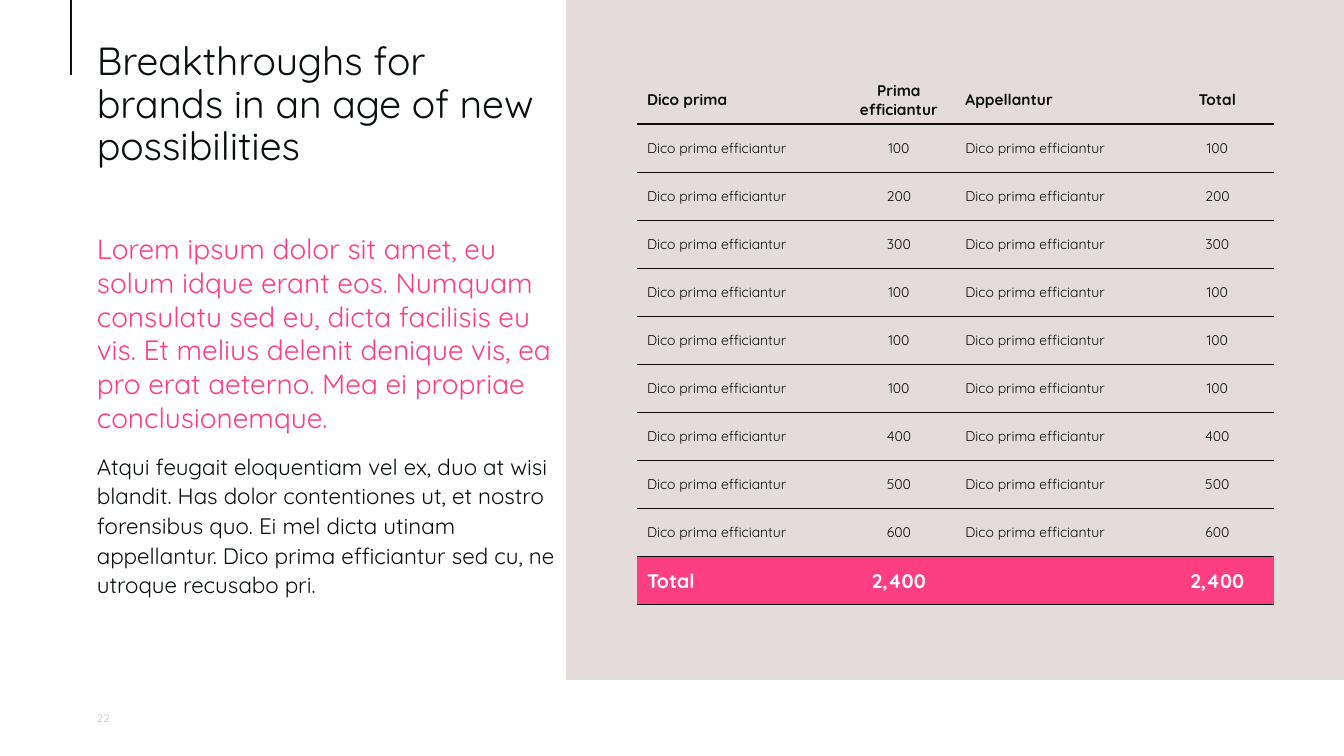
from lxml import etree
from pptx import Presentation
from pptx import util as u
from pptx.dml.color import RGBColor
from pptx.enum import shapes, text
from pptx.oxml import ns

PX = 12192000 / 1344
FONT = "Quicksand"
INK = RGBColor(0x0A, 0x0F, 0x0D)
PINK = RGBColor(0xFD, 0x3E, 0x81)
SAND = RGBColor(0xE3, 0xDC, 0xDB)
GREY = RGBColor(0xCE, 0xC3, 0xC1)
WHITE = RGBColor(0xFF, 0xFF, 0xFF)
NO_STYLE = "{2D5ABB26-0587-4C30-8999-92F81FD0307C}"

TITLE = "Breakthroughs for brands in an age of new possibilities"
LEAD = ("Lorem ipsum dolor sit amet, eu solum idque erant eos. Numquam "
        "consulatu sed eu, dicta facilisis eu vis. Et melius delenit denique "
        "vis, ea pro erat aeterno. Mea ei propriae conclusionemque.")
BODY = ("Atqui feugait eloquentiam vel ex, duo at wisi blandit. Has dolor "
        "contentiones ut, et nostro forensibus quo. Ei mel dicta utinam "
        "appellantur. Dico prima efficiantur sed cu, ne utroque recusabo pri.")
HEAD = ["Dico prima", "Prima efficiantur", "Appellantur", "Total"]
ITEM = "Dico prima efficiantur"
SUMS = [100, 200, 300, 100, 100, 100, 400, 500, 600]


def px(n):
    return u.Emu(round(n * PX))


def style(para, size, color, bold=False):
    font = para.font
    font.name, font.size, font.bold = FONT, u.Pt(size), bold
    font.color.rgb = color


def add_rect(slide, x, y, w, h):
    rect = slide.shapes.add_shape(shapes.MSO_SHAPE.RECTANGLE,
                                  px(x), px(y), px(w), px(h))
    rect.shadow.inherit = False
    rect.fill.solid()
    rect.fill.fore_color.rgb = WHITE
    rect.line.fill.background()


def add_text(slide, x, y, w, h, paras, anchor=text.MSO_ANCHOR.TOP):
    """Each paragraph is (words, size, color, line spacing, space after)."""
    frame = slide.shapes.add_textbox(px(x), px(y), px(w), px(h)).text_frame
    frame.word_wrap = True
    frame.vertical_anchor = anchor
    for i, (words, size, color, lines, after) in enumerate(paras):
        para = frame.add_paragraph() if i else frame.paragraphs[0]
        para.text = words
        para.line_spacing = lines
        para.space_after = u.Pt(after)
        style(para, size, color)


def add_panels(slide, w, h, split, foot):
    """White column on the left and white strip along the foot."""
    slide.background.fill.solid()
    slide.background.fill.fore_color.rgb = SAND
    add_rect(slide, 0, h - foot, w, foot)
    add_rect(slide, 0, 0, split, h - foot)


def add_copy(slide, x, y, w, h):
    rule = slide.shapes.add_connector(shapes.MSO_CONNECTOR.STRAIGHT,
                                      px(x - 16), 0, px(x - 16), px(75))
    rule.line.color.rgb = INK
    rule.line.width = u.Pt(1.5)
    etree.SubElement(rule._element.spPr, ns.qn("a:effectLst"))
    add_text(slide, x, y, w, 190, [(TITLE, 28, INK, 0.9, 0)])
    add_text(slide, x, y + 190, w, h - 190,
             [(LEAD, 20, PINK, 1.0, 12), (BODY, 16, INK, 1.1, 12)])
    add_text(slide, x, 702, 54, 32, [("22", 8, GREY, 1.0, 0)],
             text.MSO_ANCHOR.MIDDLE)


def underline(cell):
    line = etree.Element(ns.qn("a:lnB"), w=str(u.Pt(1)))
    fill = etree.SubElement(line, ns.qn("a:solidFill"))
    etree.SubElement(fill, ns.qn("a:srgbClr"), val=str(INK))
    cell._tc.get_or_add_tcPr().insert(0, line)


def fill_cell(cell, words, size, color, bold, center, back):
    cell.vertical_anchor = text.MSO_ANCHOR.MIDDLE
    if back is None:
        cell.fill.background()
    else:
        cell.fill.solid()
        cell.fill.fore_color.rgb = back
    underline(cell)
    para = cell.text_frame.paragraphs[0]
    para.text = words
    para.alignment = text.PP_ALIGN.CENTER if center else text.PP_ALIGN.LEFT
    style(para, size, color, bold)


def add_sums(slide, x, y, w, h):
    total = f"{sum(SUMS):,}"
    rows = [(HEAD, 11, INK, True, None)]
    rows += [([ITEM, str(n)] * 2, 10, INK, False, None) for n in SUMS]
    rows.append((["Total", total, "", total], 14, WHITE, True, PINK))
    table = slide.shapes.add_table(len(rows), len(HEAD),
                                   px(x), px(y), px(w), px(h)).table
    table.first_row = table.horz_banding = False
    table._tbl.tblPr.find(ns.qn("a:tableStyleId")).text = NO_STYLE
    for i, col in enumerate(table.columns):
        col.width = px(w * (11 if i % 2 else 20) / 62)
    for r, (words, size, color, bold, back) in enumerate(rows):
        table.rows[r].height = px(h / len(rows))
        for c, word in enumerate(words):
            fill_cell(table.cell(r, c), word, size, color, bold, c % 2, back)


def main():
    deck = Presentation()
    deck.slide_width, deck.slide_height = px(1344), px(756)
    slide = deck.slides.add_slide(deck.slide_layouts[6])
    add_panels(slide, 1344, 756, 566, 76)
    add_copy(slide, 87, 37, 479, 643)
    add_sums(slide, 637, 76, 637, 529)
    deck.save("out.pptx")


if __name__ == "__main__":
    main()
